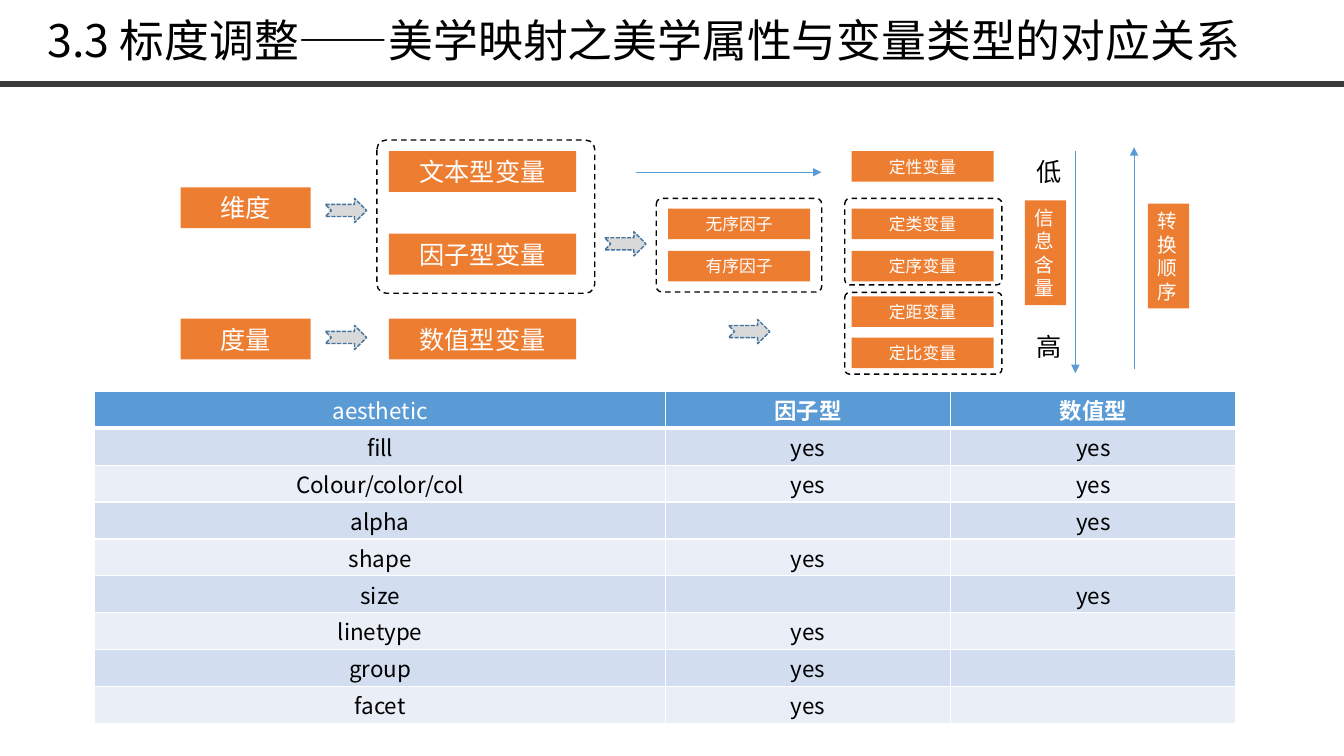
from pptx import Presentation, util as u
from pptx.dml import color
from pptx.enum import dml, shapes, text
from pptx.oxml import parse_xml
from pptx.oxml.ns import nsdecls

SHAPE = shapes.MSO_SHAPE
DASH = dml.MSO_LINE


def rgb(code):
    return color.RGBColor.from_string(code)


class Page:
    latin, asian = "Arial", "Noto Sans CJK SC"
    orange, blue, white, black = "ED7D31", "5B9BD5", "FFFFFF", "000000"
    center, left = text.PP_ALIGN.CENTER, text.PP_ALIGN.LEFT

    def __init__(self, deck):
        self.slide = deck.slides.add_slide(deck.slide_layouts[5])
        self.items = self.slide.shapes

    def style(self, frame, words, size, shade, align, font=latin, bold=False):
        frame.text = words
        frame.word_wrap = True
        frame.vertical_anchor = text.MSO_ANCHOR.MIDDLE
        for para in frame.paragraphs:
            para.alignment = align
            for run in para.runs:
                run.font.size = u.Pt(size)
                run.font.name = font
                run.font.bold = bold
                run.font.color.rgb = rgb(shade)
                if font == self.asian:
                    run.font._element.append(parse_xml(
                        f'<a:ea {nsdecls("a")} typeface="{font}"/>'))

    def title(self, words, *place):
        head = self.items.title
        head.left, head.top, head.width, head.height = map(u.Cm, place)
        self.style(head.text_frame, words, 32, self.black, self.left, self.asian)
        head.text_frame.auto_size = text.MSO_AUTO_SIZE.NONE

    def shape(self, kind, place, fill=None, edge=None, dash=None):
        item = self.items.add_shape(kind, *map(u.Cm, place))
        item.shadow.inherit = False
        if fill:
            item.fill.solid()
            item.fill.fore_color.rgb = rgb(fill)
        else:
            item.fill.background()
        if edge:
            item.line.color.rgb = rgb(edge)
            item.line.width = u.Pt(1)
            item.line.dash_style = dash
        else:
            item.line.fill.background()
        return item

    def box(self, words, size, *place, align=center):
        item = self.shape(SHAPE.RECTANGLE, place, self.orange)
        self.style(item.text_frame, words, size, self.white, align)

    def frame(self, *place):
        item = self.shape(SHAPE.ROUNDED_RECTANGLE, place, None, self.black, DASH.DASH)
        item.adjustments[0] = 0.06

    def notch(self, x, y):
        self.shape(SHAPE.NOTCHED_RIGHT_ARROW, (x, y, 1.04, 0.61),
                   "D9D9D9", "43739E", DASH.SQUARE_DOT)

    def label(self, words, *place):
        item = self.items.add_textbox(*map(u.Cm, place))
        self.style(item.text_frame, words, 18, self.black, self.left)

    def line(self, *ends, shade=blue, width=0.5, arrow=True):
        item = self.items.add_connector(shapes.MSO_CONNECTOR.STRAIGHT, *map(u.Cm, ends))
        item.line.color.rgb = rgb(shade)
        item.line.width = u.Pt(width)
        if arrow:
            item.line._get_or_add_ln().append(parse_xml(
                f'<a:tailEnd {nsdecls("a")} type="triangle"/>'))
        item._element.spPr.append(parse_xml(f'<a:effectLst {nsdecls("a")}/>'))

    def border(self, cell, row):
        props = cell._tc.get_or_add_tcPr()
        thick = {"T": row == 1, "B": row == 0}
        for side in "LRTB":
            width = u.Pt(3 if thick.get(side) else 1)
            props.append(parse_xml(
                f'<a:ln{side} {nsdecls("a")} w="{width}"><a:solidFill>'
                f'<a:srgbClr val="{self.white}"/></a:solidFill></a:ln{side}>'))

    def table(self, rows, x, y, widths, high):
        grid = self.items.add_table(
            len(rows), len(widths), u.Cm(x), u.Cm(y),
            u.Cm(sum(widths)), u.Cm(high * len(rows))).table
        for col, width in zip(grid.columns, widths):
            col.width = u.Cm(width)
        for r, row in enumerate(rows):
            grid.rows[r].height = u.Cm(high)
            for c, words in enumerate(row):
                cell = grid.cell(r, c)
                self.border(cell, r)
                cell.margin_top = cell.margin_bottom = 0
                cell.vertical_anchor = text.MSO_ANCHOR.MIDDLE
                cell.fill.solid()
                band = "D2DEEF" if r % 2 else "EAEFF7"
                cell.fill.fore_color.rgb = rgb(band if r else self.blue)
                self.style(cell.text_frame, words, 16, self.black if r else self.white,
                           self.center, self.asian, r == 0 and c > 0)


deck = Presentation()
deck.slide_width, deck.slide_height = u.Cm(33.87), u.Cm(19.05)
page = Page(deck)

page.title("3.3 标度调整——美学映射之美学属性与变量类型的对应关系", 0.94, 0.18, 33.38, 1.63)
page.line(0, 2.11, 33.87, 2.11, shade="3B3B3B", width=4.5, arrow=False)

groups = [
    (18, 4.55, 3.28, 1.03, [("维度", 4.72), ("度量", 8.03)]),
    (18, 9.8, 4.72, 1.03, [("文本型变量", 3.81), ("因子型变量", 5.89), ("数值型变量", 8.03)]),
    (12, 16.84, 3.58, 0.77, [("无序因子", 5.26), ("有序因子", 6.32)]),
    (12, 21.46, 3.58, 0.77, [("定性变量", 3.81), ("定类变量", 5.26), ("定序变量", 6.32),
                             ("定距变量", 7.47), ("定比变量", 8.51)]),
]
for size, x, wide, high, names in groups:
    for name, y in names:
        page.box(name, size, x, y, wide, high)

for place in [(9.5, 3.53, 5.49, 3.86), (16.54, 5, 4.17, 2.36),
              (21.29, 5, 3.96, 2.18), (21.29, 7.37, 3.96, 2.06)]:
    page.frame(*place)
for spot in [(8.2, 5), (8.2, 8.2), (15.24, 5.84), (18.36, 8.05)]:
    page.notch(*spot)
for ends in [(16.03, 4.34, 20.7, 4.34), (27.1, 3.81, 27.1, 9.4), (28.58, 9.3, 28.58, 3.71)]:
    page.line(*ends)
for level, y in [("低", 3.81), ("高", 8.23)]:
    page.label(level, 25.88, y, 1.04, 1.02)
for words, x, y in [("信息含量", 25.83, 5.05), ("转换顺序", 28.93, 5.13)]:
    page.box(words, 14, x, y, 1.04, 2.64, align=page.left)

page.table([
    ("aesthetic", "因子型", "数值型"),
    ("fill", "yes", "yes"),
    ("Colour/color/col", "yes", "yes"),
    ("alpha", "", "yes"),
    ("shape", "yes", ""),
    ("size", "", "yes"),
    ("linetype", "yes", ""),
    ("group", "yes", ""),
    ("facet", "yes", ""),
], 2.39, 9.86, (14.38, 7.19, 7.19), 0.93)

deck.save("out.pptx")
